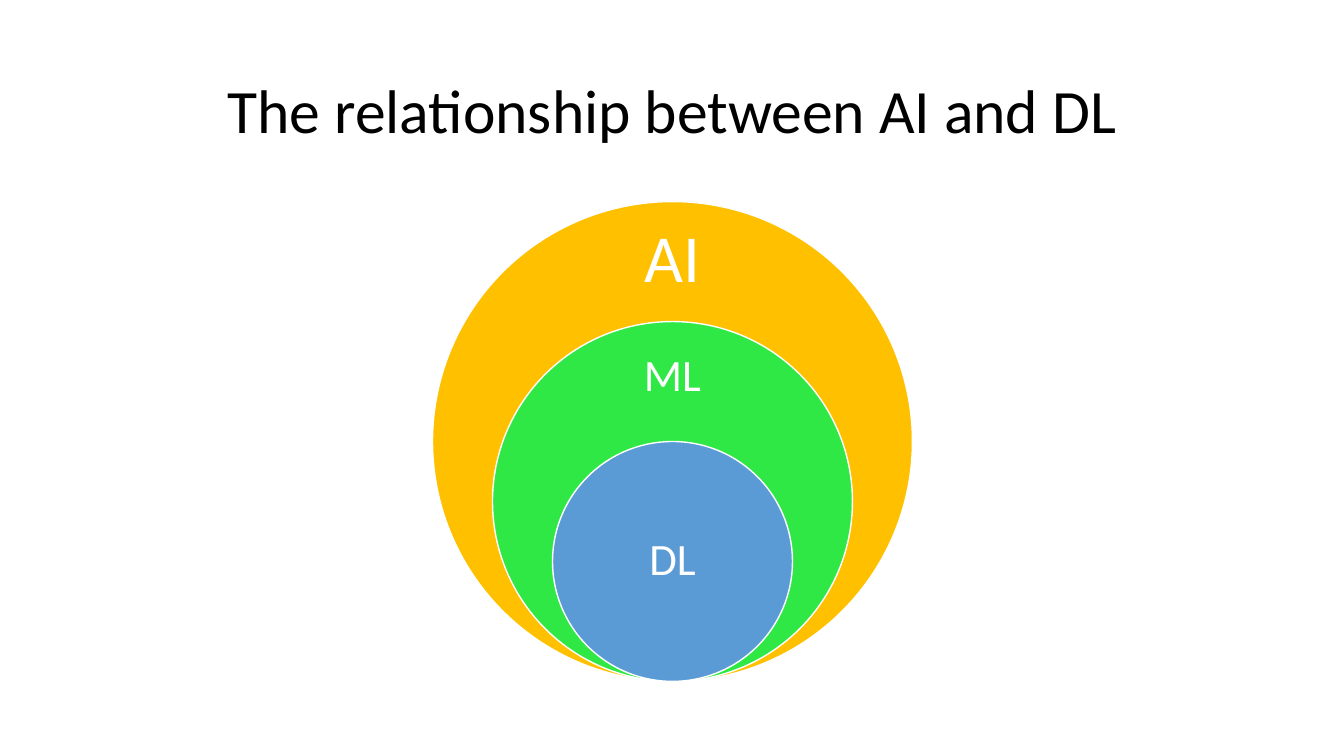
import pptx
import pptx.dml.color
import pptx.enum.shapes
import pptx.enum.text
import pptx.util
from pptx.util import Inches

# name, diameter as a share of the outer circle, fill, text size,
# label offset from the circle's top, label height
RINGS = [
    ("AI", 1, "FFC000", 48, 0.23, 0.71),
    ("ML", 0.75, "30E845", 32, 0.22, 0.67),
    ("DL", 0.5, "5B9BD5", 32, 0.59, 1.19),
]
LABEL_WIDTH = 1.67


def color(value):
    return pptx.dml.color.RGBColor.from_string(value)


def add_text(shapes, text, left, top, width, height, size, text_color):
    """Add one centred line of text in the middle of the given box."""
    box = shapes.add_textbox(Inches(left), Inches(top), Inches(width), Inches(height))
    tf = box.text_frame
    tf.word_wrap = True
    tf.vertical_anchor = pptx.enum.text.MSO_ANCHOR.MIDDLE
    tf.margin_left = tf.margin_right = tf.margin_top = tf.margin_bottom = 0
    p = tf.paragraphs[0]
    p.alignment = pptx.enum.text.PP_ALIGN.CENTER
    p.line_spacing = 0.9
    r = p.add_run()
    r.text = text
    r.font.name = "Calibri"
    r.font.size = pptx.util.Pt(size)
    r.font.color.rgb = color(text_color)


def add_circle(shapes, left, top, diameter, fill):
    sp = shapes.add_shape(
        pptx.enum.shapes.MSO_SHAPE.OVAL,
        Inches(left), Inches(top), Inches(diameter), Inches(diameter),
    )
    sp.shadow.inherit = False
    sp.fill.solid()
    sp.fill.fore_color.rgb = color(fill)
    sp.line.color.rgb = color("FFFFFF")
    sp.line.width = pptx.util.Pt(1)


def add_nested_circles(s, left, top, size):
    """Stack the rings so that they all touch the bottom of a square box."""
    shapes = s.shapes.add_group_shape().shapes
    center = left + size / 2
    for name, share, fill, text_size, offset, label_height in RINGS:
        diameter = size * share
        ring_top = top + size - diameter
        add_circle(shapes, center - diameter / 2, ring_top, diameter, fill)
        add_text(shapes, name, center - LABEL_WIDTH / 2, ring_top + offset,
                 LABEL_WIDTH, label_height, text_size, "FFFFFF")


def main():
    prs = pptx.Presentation()
    prs.slide_width = Inches(13.33)
    prs.slide_height = Inches(7.5)
    s = prs.slides.add_slide(prs.slide_layouts[6])
    add_text(s.shapes, "The relationship between AI and DL",
             0.92, 0.4, 11.5, 1.45, 44, "000000")
    add_nested_circles(s, 4.29, 2, 4.76)
    prs.save("out.pptx")


if __name__ == "__main__":
    main()
